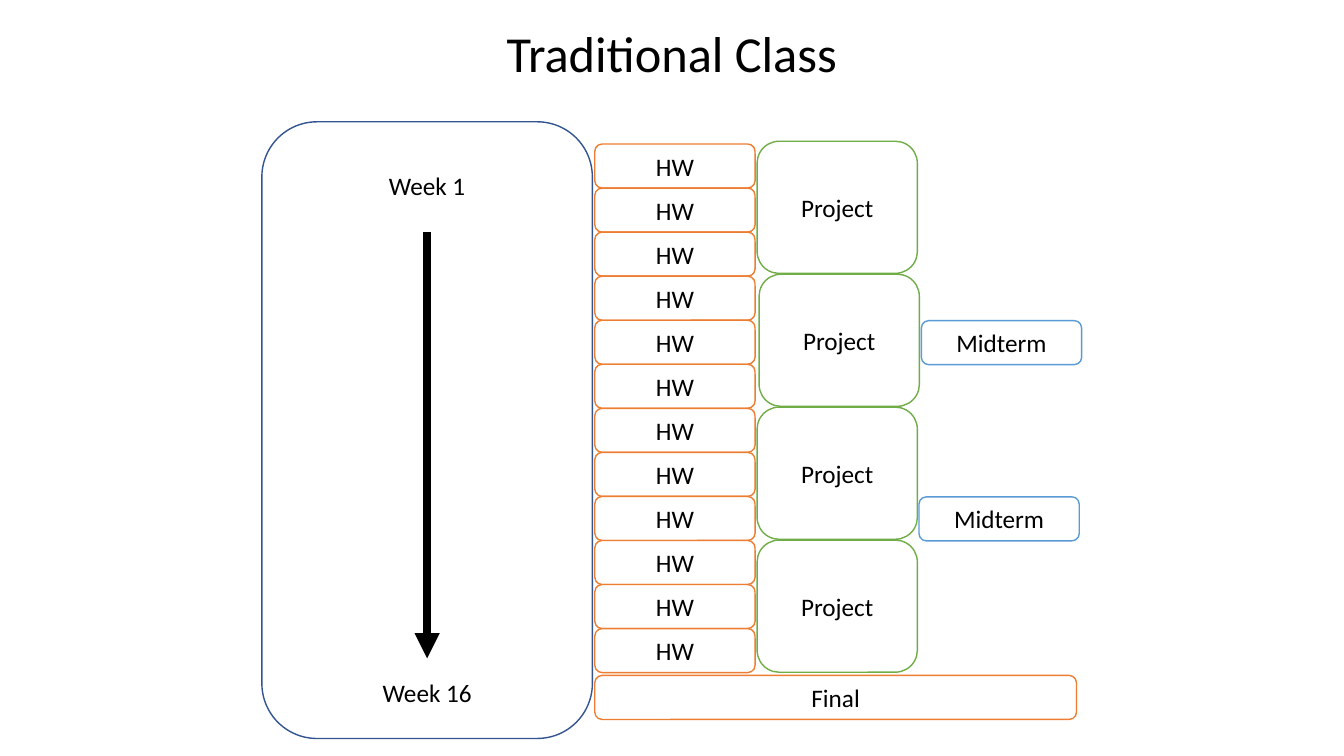
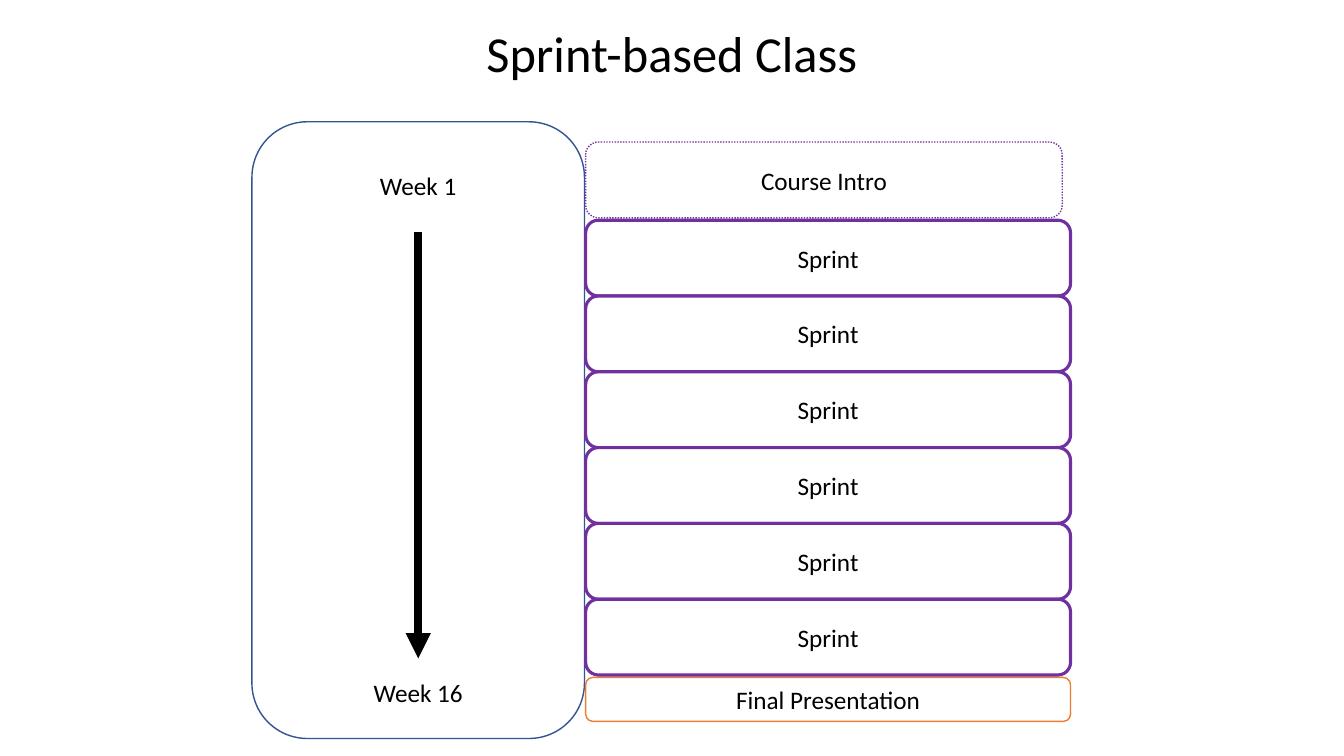
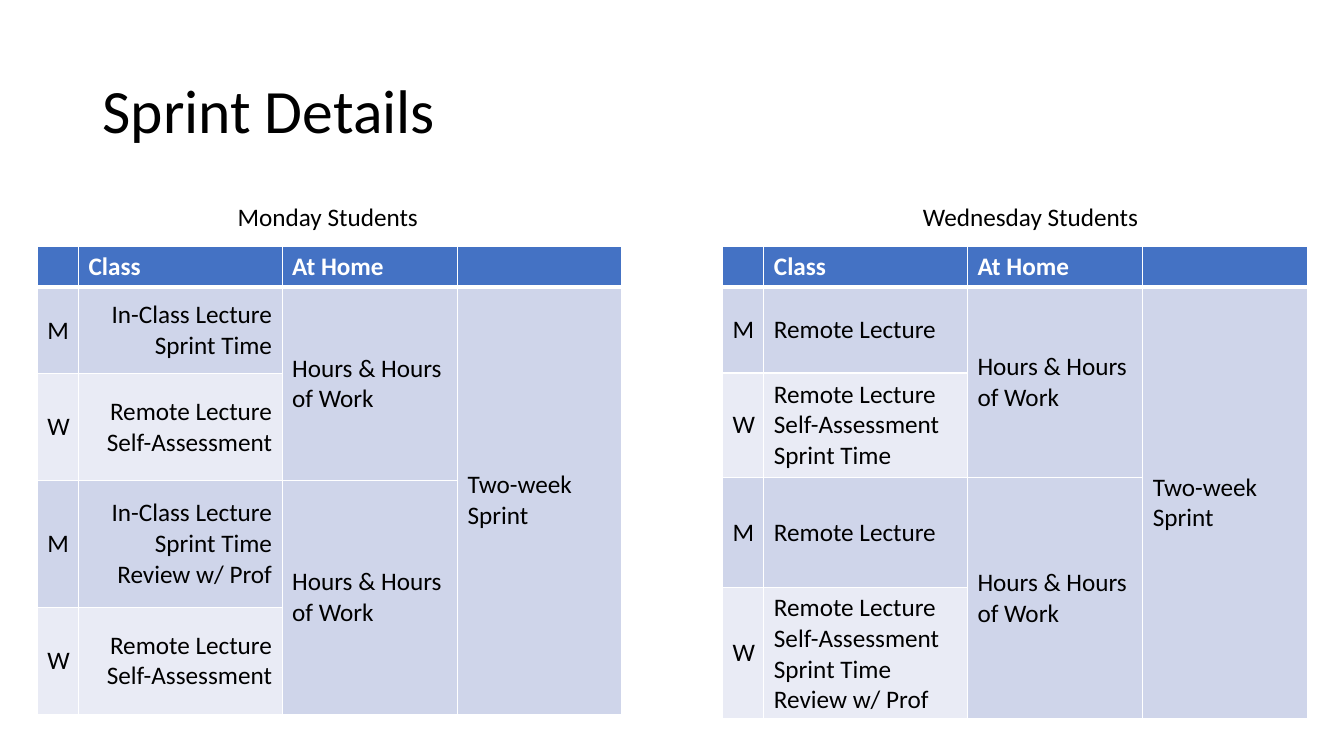
from dataclasses import dataclass
from typing import Any, Optional

import lxml.etree
import pptx
import pptx.dml.color
import pptx.enum.dml
import pptx.enum.shapes
import pptx.enum.text
import pptx.oxml.ns
import pptx.util

Cm = pptx.util.Cm
Pt = pptx.util.Pt
qn = pptx.oxml.ns.qn
ALIGN = pptx.enum.text.PP_ALIGN
ANCHOR = pptx.enum.text.MSO_ANCHOR
KIND = pptx.enum.shapes.MSO_SHAPE
DASH = pptx.enum.dml.MSO_LINE


@dataclass(frozen=True)
class Theme:
    font: str = "Calibri"
    body: int = 18
    head: int = 36
    large: int = 44
    black: str = "000000"
    white: str = "FFFFFF"
    navy: str = "325491"
    orange: str = "ED7D31"
    green: str = "70AD47"
    sky: str = "5B9BD5"
    purple: str = "7030A0"
    blue: str = "4472C4"
    bands: tuple[str, str] = ("CFD5EA", "E9EBF5")


THEME = Theme()


@dataclass(frozen=True)
class Box:
    """Left, top, width and height in centimetres."""
    left: float
    top: float
    width: float
    height: float

    def emu(self) -> tuple[int, int, int, int]:
        return Cm(self.left), Cm(self.top), Cm(self.width), Cm(self.height)


@dataclass(frozen=True)
class Stroke:
    color: str
    width: float = 1
    dash: Optional[Any] = None


@dataclass(frozen=True)
class Grid:
    """One group's caption and two-week schedule."""
    caption: str
    label: Box
    left: float
    rows: tuple[float, ...]
    align: Any
    classes: tuple[str, ...]


HEAD = Box(5.08, 0.43, 23.7, 1.8)
COLS = (1.04, 5.13, 4.42, 4.14)
GRIDS = (
    Grid("Monday Students", Box(5.74, 4.95, 5.1, 1.02), 0.94,
         (1, 2.18, 2.69, 3.2, 2.69), ALIGN.RIGHT,
         ("In-Class Lecture\nSprint Time",
          "Remote Lecture\nSelf-Assessment",
          "In-Class Lecture\nSprint Time\nReview w/ Prof",
          "Remote Lecture\nSelf-Assessment")),
    Grid("Wednesday Students", Box(23.01, 4.95, 6, 1.02), 18.21,
         (1, 2.16, 2.64, 2.77, 3.25), ALIGN.LEFT,
         ("Remote Lecture",
          "Remote Lecture\nSelf-Assessment\nSprint Time",
          "Remote Lecture",
          "Remote Lecture\nSelf-Assessment\nSprint Time\nReview w/ Prof")),
)


def rgb(color: str) -> pptx.dml.color.RGBColor:
    return pptx.dml.color.RGBColor.from_string(color)


def write(frame: Any, text: str, align: Any = ALIGN.CENTER,
          size: int = THEME.body, color: str = THEME.black,
          bold: bool = False) -> None:
    frame.text = text
    for para in frame.paragraphs:
        para.alignment = align
        font = para.font
        font.name, font.size, font.bold = THEME.font, Pt(size), bold
        font.color.rgb = rgb(color)


def start(deck: Any, text: str, box: Box = HEAD, size: int = THEME.head,
          align: Any = ALIGN.CENTER, anchor: Any = ANCHOR.TOP) -> Any:
    """Add a slide with its title."""
    slide = deck.slides.add_slide(deck.slide_layouts[5])
    title = slide.shapes.title
    title.left, title.top, title.width, title.height = box.emu()
    frame = title.text_frame
    frame.auto_size = pptx.enum.text.MSO_AUTO_SIZE.NONE
    frame.vertical_anchor = anchor
    write(frame, text, align, size)
    return slide


def block(slide: Any, box: Box, text: str = "",
          stroke: Optional[Stroke] = None, fill: Optional[str] = THEME.white,
          kind: Any = KIND.ROUNDED_RECTANGLE,
          anchor: Any = ANCHOR.MIDDLE) -> None:
    shape = slide.shapes.add_shape(kind, *box.emu())
    shape.shadow.inherit = False
    if fill:
        shape.fill.solid()
        shape.fill.fore_color.rgb = rgb(fill)
    else:
        shape.fill.background()
    if stroke:
        shape.line.color.rgb = rgb(stroke.color)
        shape.line.width = Pt(stroke.width)
        if stroke.dash:
            shape.line.dash_style = stroke.dash
    else:
        shape.line.fill.background()
    if text:
        shape.text_frame.vertical_anchor = anchor
        write(shape.text_frame, text)


def stack(slide: Any, box: Box, count: int, step: float, text: str,
          stroke: Stroke) -> None:
    """Repeat a block downwards at an equal step."""
    for i in range(count):
        spot = Box(box.left, box.top + i * step, box.width, box.height)
        block(slide, spot, text, stroke)


def arrow(slide: Any, x: float, top: float, end: float) -> None:
    line = slide.shapes.add_connector(
        pptx.enum.shapes.MSO_CONNECTOR.STRAIGHT,
        Cm(x), Cm(top), Cm(x), Cm(end))
    line.line.color.rgb = rgb(THEME.black)
    line.line.width = Pt(6)
    props = line.element.spPr
    lxml.etree.SubElement(props.find(qn("a:ln")), qn("a:tailEnd"),
                          type="triangle")
    lxml.etree.SubElement(props, qn("a:effectLst"))


def term(slide: Any, left: float, width: float) -> None:
    """Draw the panel that runs from the first week to the last."""
    block(slide, Box(left, 3.07, width, 15.54),
          stroke=Stroke(THEME.navy), fill=None)
    for top, text in ((4.17, "Week 1"), (16.95, "Week 16")):
        block(slide, Box(left + 0.75, top, width - 1.5, 1.02), text,
              kind=KIND.RECTANGLE, anchor=ANCHOR.TOP)
    arrow(slide, left + width / 2, 5.85, 16.59)


def edge(cell: Any, side: str, width: float) -> None:
    line = lxml.etree.SubElement(cell._tc.get_or_add_tcPr(),
                                 qn(f"a:ln{side}"), w=str(Pt(width)))
    fill = lxml.etree.SubElement(line, qn("a:solidFill"))
    lxml.etree.SubElement(fill, qn("a:srgbClr"), val=THEME.white)


def paint(cell: Any, row: int, fill: str) -> None:
    """Set borders, then fill, with a thick rule under the header."""
    for side in "LRTB":
        rule = (row, side) in ((0, "B"), (1, "T"))
        edge(cell, side, 3 if rule else 1)
    cell.fill.solid()
    cell.fill.fore_color.rgb = rgb(fill)
    cell.vertical_anchor = ANCHOR.MIDDLE


def plan(slide: Any, grid: Grid) -> None:
    """Draw a caption and its schedule table."""
    note = slide.shapes.add_textbox(*grid.label.emu()).text_frame
    note.word_wrap = False
    write(note, grid.caption, ALIGN.LEFT)

    box = Box(grid.left, 6.22, sum(COLS), sum(grid.rows))
    table = slide.shapes.add_table(
        len(grid.rows), len(COLS), *box.emu()).table
    for col, width in zip(table.columns, COLS):
        col.width = Cm(width)
    for row, height in zip(table.rows, grid.rows):
        row.height = Cm(height)

    work = "Hours & Hours of Work"
    cells = [("", "Class", "At Home", "")]
    for i, text in enumerate(grid.classes):
        cells.append(("MW"[i % 2], text, "" if i % 2 else work,
                      "" if i else "Two-week Sprint"))
    for r, row in enumerate(cells):
        for c, text in enumerate(row):
            cell = table.cell(r, c)
            if r == 0:
                paint(cell, r, THEME.blue)
                write(cell.text_frame, text, ALIGN.LEFT,
                      color=THEME.white, bold=True)
            else:
                paint(cell, r, THEME.bands[(r - 1) % 2 if c < 2 else 0])
                write(cell.text_frame, text,
                      grid.align if c == 1 else ALIGN.LEFT)
    for top, end, col in ((1, 2, 2), (3, 4, 2), (1, 4, 3)):
        table.cell(top, col).merge(table.cell(end, col))


def classic(deck: Any) -> None:
    slide = start(deck, "Traditional Class")
    term(slide, 6.6, 8.33)
    orange, green = Stroke(THEME.orange), Stroke(THEME.green)
    stack(slide, Box(14.99, 3.63, 4.04, 1.11), 12, 1.11, "HW", orange)
    for i, left in enumerate((19.08, 19.13, 19.08, 19.08)):
        block(slide, Box(left, 3.56 + i * 3.35, 4.04, 3.33), "Project", green)
    for left, top in ((23.22, 8.08), (23.16, 12.52)):
        block(slide, Box(left, top, 4.04, 1.11), "Midterm", Stroke(THEME.sky))
    block(slide, Box(14.99, 17.02, 12.14, 1.11), "Final", orange)


def sprints(deck: Any) -> None:
    slide = start(deck, "Sprint-based Class")
    term(slide, 6.35, 8.38)
    left, width = 14.76, 12.22
    block(slide, Box(left, 17.07, width, 1.11), "Final Presentation",
          Stroke(THEME.orange))
    block(slide, Box(left, 3.58, 12.01, 1.91), "Course Intro",
          Stroke(THEME.purple, dash=DASH.ROUND_DOT))
    stack(slide, Box(left, 5.55, width, 1.91), 6, 1.91, "Sprint",
          Stroke(THEME.purple, 2.25))


def details(deck: Any) -> None:
    slide = start(deck, "Sprint Details", Box(2.33, 1.01, 29.21, 3.68),
                  THEME.large, ALIGN.LEFT, ANCHOR.MIDDLE)
    slide.shapes.title.text_frame.paragraphs[0].line_spacing = 0.9
    for grid in GRIDS:
        plan(slide, grid)


def main() -> None:
    deck = pptx.Presentation()
    deck.slide_width, deck.slide_height = Cm(33.87), Cm(19.05)
    classic(deck)
    sprints(deck)
    details(deck)
    deck.save("out.pptx")


if __name__ == "__main__":
    main()
